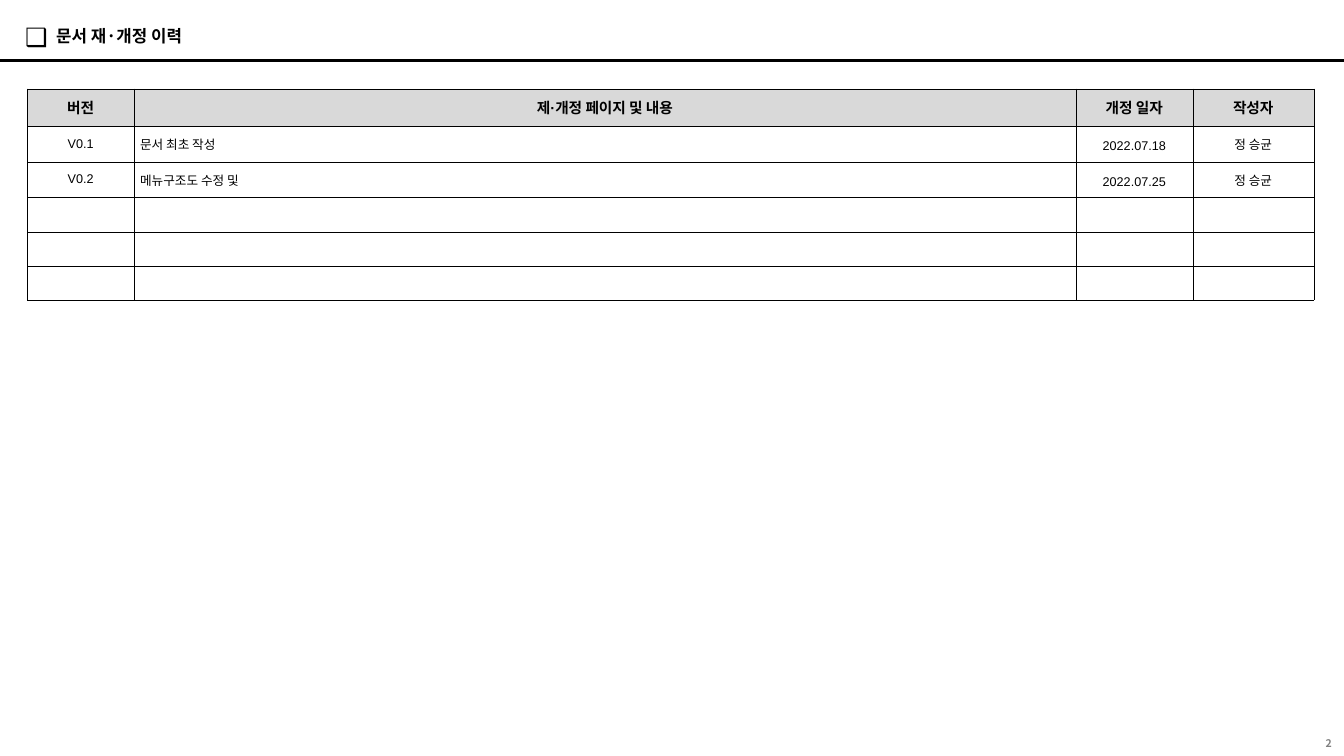
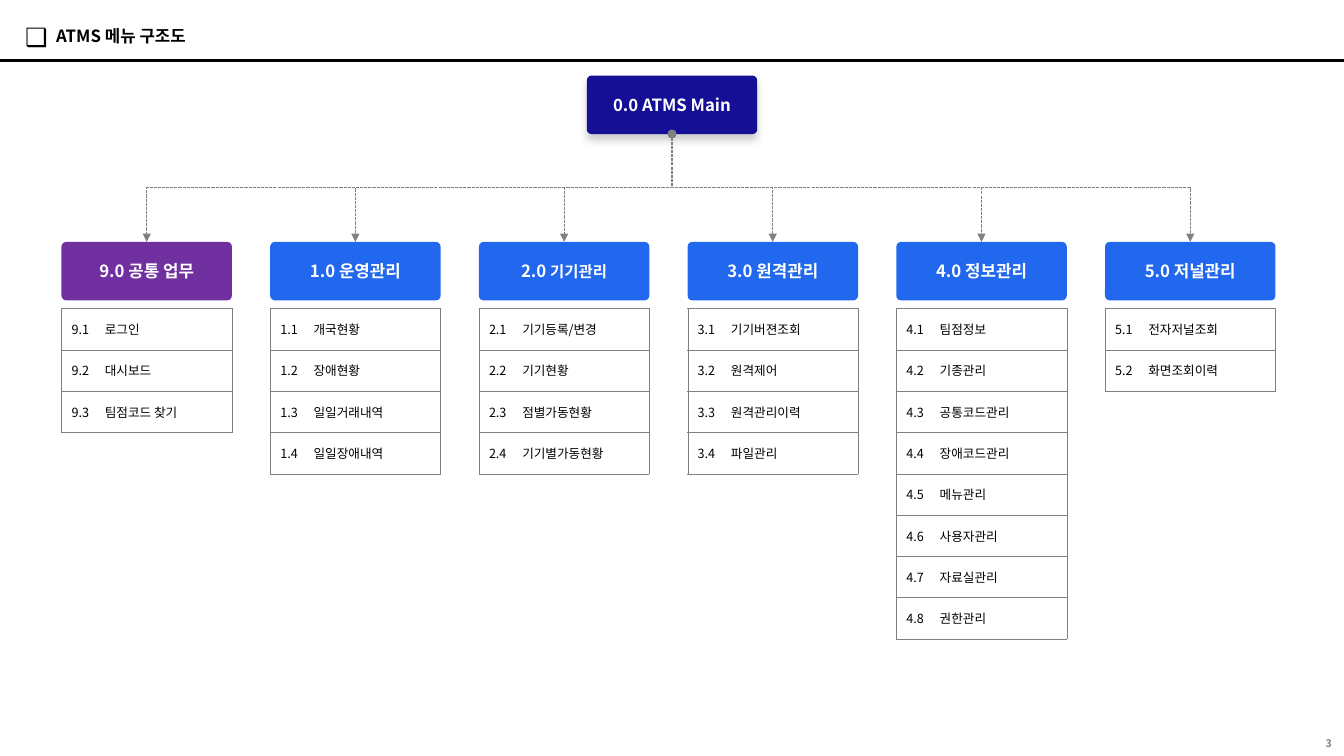
from dataclasses import dataclass

from lxml.etree import SubElement
from pptx import Presentation
from pptx.dml.color import RGBColor
from pptx.enum.dml import MSO_LINE
from pptx.enum.shapes import MSO_CONNECTOR, MSO_SHAPE
from pptx.enum.text import MSO_ANCHOR, PP_ALIGN
from pptx.oxml import parse_xml
from pptx.oxml.ns import nsdecls, qn
from pptx.util import Inches, Pt


@dataclass(frozen=True)
class Theme:
    font: str = "Noto Sans CJK KR"
    table_font: str = "Arial"
    black: str = "000000"
    white: str = "FFFFFF"
    gray: str = "808080"
    header: str = "D9D9D9"
    root: str = "150F96"
    common: str = "7030A0"
    menu: str = "2168EE"
    mark_size: float = 18
    title_size: float = 12
    small_title_size: float = 11
    header_size: float = 10.5
    body_size: float = 9
    number_size: float = 7.5


THEME = Theme()
SLIDE_WIDTH, SLIDE_HEIGHT = 13.33, 7.5
FIRST_NUMBER = 2

# Menu grid: six equal columns, with heads in one row and items below
MENU_LEFT, MENU_PITCH = 0.61, 2.07
BOX_WIDTH, BOX_HEIGHT = 1.69, 0.58
ROOT_TOP, HEAD_TOP, ITEMS_TOP = 0.75, 2.4, 3.06
ITEM_HEIGHT, ITEM_INDENT = 0.41, 0.33

HISTORY_COLUMNS = (1.06, 9.34, 1.16, 1.2)
HISTORY_ROWS = (0.37, 0.35, 0.35, 0.34, 0.34, 0.34)
HISTORY = (
    ("버전", "제·개정 페이지 및 내용", "개정 일자", "작성자"),
    ("V0.1", "문서 최초 작성", "2022.07.18", "정 승균"),
    ("V0.2", "메뉴구조도 수정 및", "2022.07.25", "정 승균"),
)

# Number, name, colour, name size, items
MENUS = (
    ("9", "공통 업무", THEME.common, THEME.title_size,
     ("로그인", "대시보드", "팀점코드 찾기")),
    ("1", "운영관리", THEME.menu, THEME.title_size,
     ("개국현황", "장애현황", "일일거래내역", "일일장애내역")),
    ("2", "기기관리", THEME.menu, THEME.small_title_size,
     ("기기등록/변경", "기기현황", "점별가동현황", "기기별가동현황")),
    ("3", "원격관리", THEME.menu, THEME.title_size,
     ("기기버젼조회", "원격제어", "원격관리이력", "파일관리")),
    ("4", "정보관리", THEME.menu, THEME.title_size,
     ("팀점정보", "기종관리", "공통코드관리", "장애코드관리",
      "메뉴관리", "사용자관리", "자료실관리", "권한관리")),
    ("5", "저널관리", THEME.menu, THEME.title_size,
     ("전자저널조회", "화면조회이력")),
)


def color(value):
    return RGBColor.from_string(value)


def style_paragraph(paragraph, size, fill, bold=False, align=PP_ALIGN.LEFT,
                    font=THEME.font):
    paragraph.alignment = align
    paragraph.font.size = Pt(size)
    paragraph.font.bold = bold
    paragraph.font.name = font
    paragraph.font.color.rgb = color(fill)
    # East Asian letters need their own typeface entry
    properties = paragraph._p.pPr.find(qn("a:defRPr"))
    SubElement(properties, qn("a:ea")).set("typeface", THEME.font)


def add_text(slide, box, text, size, fill, align=PP_ALIGN.LEFT, inset=0.1):
    shape = slide.shapes.add_textbox(*map(Inches, box))
    frame = shape.text_frame
    frame.word_wrap = True
    frame.vertical_anchor = MSO_ANCHOR.MIDDLE
    frame.margin_left = frame.margin_right = Inches(inset)
    frame.margin_top = frame.margin_bottom = 0
    paragraph = frame.paragraphs[0]
    paragraph.text = text
    style_paragraph(paragraph, size, fill, True, align)
    return paragraph


def add_slide(presentation, title):
    """Add a slide with the shared title, rule and page number."""
    slide = presentation.slides.add_slide(presentation.slide_layouts[6])
    rule = slide.shapes.add_connector(
        MSO_CONNECTOR.STRAIGHT, 0, Inches(0.6), Inches(SLIDE_WIDTH), Inches(0.6))
    style_line(rule, THEME.black, 1.5)
    add_text(slide, (0.15, 0.16, 0.43, 0.4), "❑", THEME.mark_size, THEME.black)
    add_text(slide, (0.46, 0.21, 7.77, 0.3), title, THEME.title_size, THEME.black)
    number = add_text(slide, (12.82, 7.3, 0.4, 0.14), "", THEME.number_size,
                      THEME.gray, PP_ALIGN.RIGHT, 0.01)
    page = FIRST_NUMBER + len(presentation.slides) - 1
    number._p.append(parse_xml(
        f'<a:fld {nsdecls("a")} id="{{B6F15528-21DE-4FAA-801E-634DDDAF4B2B}}" '
        f'type="slidenum"><a:rPr lang="ko-KR"/><a:t>{page}</a:t></a:fld>'))
    return slide


def style_line(connector, fill, width):
    connector.line.color.rgb = color(fill)
    connector.line.width = Pt(width)
    SubElement(connector._element.spPr, qn("a:effectLst"))


def style_cell(cell, fill, border):
    cell.vertical_anchor = MSO_ANCHOR.MIDDLE
    cell.fill.solid()
    cell.fill.fore_color.rgb = color(fill)
    properties = cell._tc.get_or_add_tcPr()
    for index, side in enumerate("LRTB"):
        properties.insert(index, parse_xml(
            f'<a:ln{side} {nsdecls("a")} w="{Pt(0.25)}"><a:solidFill>'
            f'<a:srgbClr val="{border}"/></a:solidFill></a:ln{side}>'))


def add_grid(slide, left, top, widths, heights):
    """Add a plain table with the given column widths and row heights."""
    table = slide.shapes.add_table(
        len(heights), len(widths), Inches(left), Inches(top),
        Inches(sum(widths)), Inches(sum(heights))).table
    table.first_row = table.horz_banding = False
    for column, width in zip(table.columns, widths):
        column.width = Inches(width)
    for row, height in zip(table.rows, heights):
        row.height = Inches(height)
    return table


def add_history(slide):
    table = add_grid(slide, 0.27, 0.88, HISTORY_COLUMNS, HISTORY_ROWS)
    for row in range(len(HISTORY_ROWS)):
        is_header = row == 0
        for column in range(len(HISTORY_COLUMNS)):
            cell = table.cell(row, column)
            style_cell(cell, THEME.header if is_header else THEME.white, THEME.black)
            cell.margin_left = cell.margin_right = Inches(0.06)
            cell.margin_top = cell.margin_bottom = Inches(0.08)
            paragraph = cell.text_frame.paragraphs[0]
            if row < len(HISTORY):
                paragraph.text = HISTORY[row][column]
            else:
                # An empty cell takes its height from the end mark
                SubElement(paragraph._p, qn("a:endParaRPr")).set(
                    "sz", str(int(THEME.body_size * 100)))
            is_note = column == 1 and not is_header
            style_paragraph(
                paragraph, THEME.header_size if is_header else THEME.body_size,
                THEME.black, is_header,
                PP_ALIGN.LEFT if is_note else PP_ALIGN.CENTER, THEME.table_font)
            if column > 1 and not is_header:
                paragraph.line_spacing = Pt(14)


def add_box(slide, left, top, fill, number, name, name_size=THEME.title_size):
    box = slide.shapes.add_shape(
        MSO_SHAPE.ROUNDED_RECTANGLE,
        *map(Inches, (left, top, BOX_WIDTH, BOX_HEIGHT)))
    box.adjustments[0] = 0.08
    box.shadow.inherit = False
    box.fill.solid()
    box.fill.fore_color.rgb = color(fill)
    box.line.fill.background()
    box.text_frame.vertical_anchor = MSO_ANCHOR.MIDDLE
    paragraph = box.text_frame.paragraphs[0]
    paragraph.add_run().text = f"{number}.0 "
    name_run = paragraph.add_run()
    name_run.text = name
    style_paragraph(paragraph, THEME.title_size, THEME.white, True, PP_ALIGN.CENTER)
    if name_size != THEME.title_size:
        name_run.font.size = Pt(name_size)
    return box


def add_shadow(shape):
    effects = shape._element.spPr.find(qn("a:effectLst"))
    effects.append(parse_xml(
        f'<a:outerShdw {nsdecls("a")} blurRad="{Pt(6)}" dist="{Pt(4)}" '
        'dir="5400000" algn="t" rotWithShape="0"><a:srgbClr val="000000">'
        '<a:alpha val="20000"/></a:srgbClr></a:outerShdw>'))


def add_items(slide, left, number, items):
    table = add_grid(slide, left, ITEMS_TOP, (BOX_WIDTH,),
                     (ITEM_HEIGHT,) * len(items))
    for index, item in enumerate(items):
        cell = table.cell(index, 0)
        style_cell(cell, THEME.white, THEME.gray)
        paragraph = cell.text_frame.paragraphs[0]
        paragraph.text = f"{number}.{index + 1}\t{item}"
        style_paragraph(paragraph, THEME.body_size, THEME.black)
        # Hanging indent lines up the item names
        paragraph._p.pPr.set("marL", str(Inches(ITEM_INDENT)))
        paragraph._p.pPr.set("indent", str(-Inches(ITEM_INDENT)))


def add_branch(slide, root, head):
    """Join the root's bottom to a head's top with a vertical-first elbow."""
    begin_x, begin_y = root.left + root.width // 2, root.top + root.height
    end_x, end_y = head.left + head.width // 2, head.top
    branch = slide.shapes.add_connector(
        MSO_CONNECTOR.ELBOW, begin_x, begin_y, end_x, end_y)
    branch.begin_connect(root, 2)
    branch.end_connect(head, 0)
    # A turned elbow is stored as its unturned frame about the same centre
    branch.width, branch.height = end_y - begin_y, abs(end_x - begin_x)
    branch.left = (begin_x + end_x - branch.width) // 2
    branch.top = (begin_y + end_y - branch.height) // 2
    goes_right = end_x > begin_x
    frame = branch._element.spPr.find(qn("a:xfrm"))
    frame.set("rot", str((270 if goes_right else 90) * 60000))
    frame.set("flipH", str(int(goes_right)))
    frame.set("flipV", "0")
    style_line(branch, THEME.gray, 0.75)
    branch.line.dash_style = MSO_LINE.SQUARE_DOT
    line = branch.line._get_or_add_ln()
    SubElement(line, qn("a:headEnd")).set("type", "oval")
    SubElement(line, qn("a:tailEnd")).set("type", "triangle")


def add_menu_tree(slide):
    root = add_box(slide, (SLIDE_WIDTH - BOX_WIDTH) / 2, ROOT_TOP, THEME.root,
                   "0", "ATMS Main")
    add_shadow(root)
    for column, (number, name, fill, name_size, items) in enumerate(MENUS):
        left = MENU_LEFT + column * MENU_PITCH
        head = add_box(slide, left, HEAD_TOP, fill, number, name, name_size)
        add_items(slide, left, number, items)
        add_branch(slide, root, head)


def main():
    presentation = Presentation()
    presentation.slide_width = Inches(SLIDE_WIDTH)
    presentation.slide_height = Inches(SLIDE_HEIGHT)
    presentation._element.set("firstSlideNum", str(FIRST_NUMBER))
    add_history(add_slide(presentation, "문서 재·개정 이력"))
    add_menu_tree(add_slide(presentation, "ATMS 메뉴 구조도"))
    presentation.save("out.pptx")


if __name__ == "__main__":
    main()
